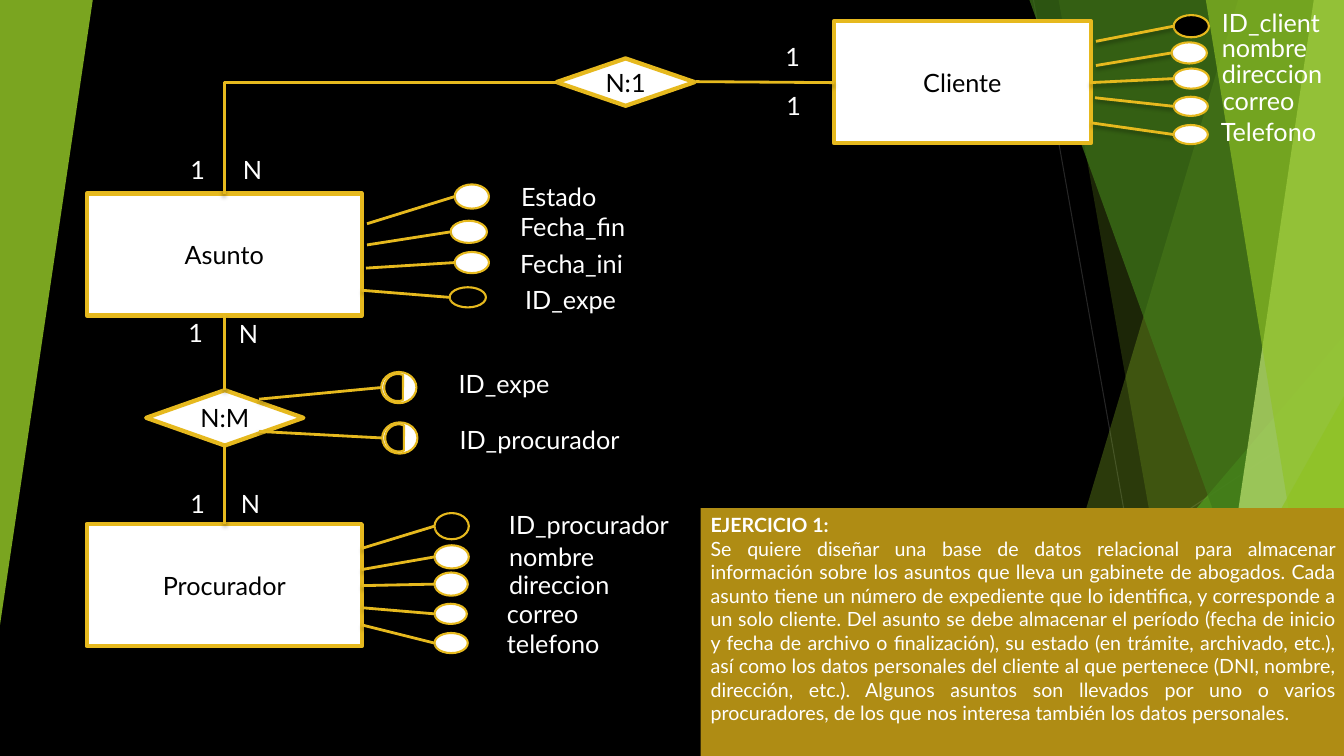
from lxml.etree import SubElement
from pptx import Presentation
from pptx.dml.color import RGBColor
from pptx.enum.shapes import MSO_CONNECTOR as LINK, MSO_SHAPE as KIND
from pptx.enum.text import MSO_ANCHOR as ANCHOR, PP_ALIGN as ALIGN
from pptx.oxml.ns import qn
from pptx.util import Inches, Pt

WIDTH, HEIGHT = 13.33, 7.5
BLACK, WHITE = RGBColor(0, 0, 0), RGBColor(255, 255, 255)
GOLD, OCHRE = RGBColor(0xE6, 0xB9, 0x1E), RGBColor(0xAF, 0x8C, 0x14)
GRAY = RGBColor(0x26, 0x26, 0x26)
LIME, GREEN = RGBColor(0x90, 0xC2, 0x26), RGBColor(0x54, 0xA0, 0x21)
FOREST, PALE = RGBColor(0x3F, 0x78, 0x19), RGBColor(0xC0, 0xE4, 0x74)

FACET_LINES = [((10.25, 0), (11.58, HEIGHT)), ((WIDTH, 4.03), (8.12, HEIGHT))]
FACETS = [
    ("band", 12.28, 10.04, LIME, 30),
    ("band", 10.5, 11.83, LIME, 20),
    ("corner", 9.77, 3.33, GREEN, 72),
    ("band", 10.21, 12.91, FOREST, 70),
    ("band", 13.03, 11.92, PALE, 70),
    ("band", 11.96, 13.18, LIME, 65),
    ("corner", 11.34, 3.93, LIME, 80),
]
LEFT_FACET = (0, 0, 0.92, 6.2)

ENTITIES = [
    ("Asunto", (0.86, 1.92, 2.73, 1.21)),
    ("Procurador", (0.86, 5.2, 2.73, 1.21)),
    ("Cliente", (8.27, 0.21, 2.55, 1.21)),
]
RELATIONS = [("N:1", (5.52, 0.58, 1.37, 0.47)), ("N:M", (1.45, 3.87, 1.56, 0.55))]
LINKS = [((6.9, 0.81), (8.27, 0.82)), ((2.23, 3.13), (2.23, 3.87)), ((2.23, 4.41), (2.23, 5.2))]
ELBOW_BEGIN, ELBOW_END = (4.43, 3.02), (3.32, -0.28)

# (name, line start, oval box, label corner, oval style)
ATTRIBUTES = [
    ("ID_client", (10.87, 0.41), (11.64, 0.15, 0.35, 0.22), (12.02, 0.02), "key"),
    ("nombre", (10.87, 0.65), (11.62, 0.42, 0.35, 0.21), (12.02, 0.27), "plain"),
    ("direccion", (10.81, 0.82), (11.64, 0.68, 0.35, 0.2), (12.02, 0.53), "plain"),
    ("correo", (10.86, 0.97), (11.64, 0.96, 0.34, 0.19), (12.03, 0.8), "plain"),
    ("Telefono", (10.83, 1.22), (11.64, 1.24, 0.34, 0.19), (12.01, 1.11), "plain"),
    ("Estado", (3.64, 2.22), (4.51, 1.83, 0.34, 0.24), (5.07, 1.75), "plain"),
    ("Fecha_fin", (3.64, 2.43), (4.47, 2.19, 0.36, 0.22), (5.06, 2.05), "plain"),
    ("Fecha_ini", (3.63, 2.66), (4.51, 2.5, 0.34, 0.21), (5.06, 2.41), "plain"),
    ("ID_expe", (3.59, 2.88), (4.46, 2.85, 0.36, 0.2), (5.11, 2.77), "key"),
    ("ID_expe", (2.57, 3.96), (3.78, 3.69, 0.35, 0.31), (4.45, 3.6), "half"),
    ("ID_procurador", (2.57, 4.28), (3.79, 4.19, 0.35, 0.31), (4.46, 4.16), "half"),
    ("ID_procurador", (3.59, 5.44), (4.31, 5.09, 0.34, 0.26), (4.95, 5), "key"),
    ("nombre", (3.59, 5.65), (4.31, 5.41, 0.34, 0.23), (4.95, 5.32), "plain"),
    ("direccion", (3.59, 5.81), (4.31, 5.68, 0.33, 0.23), (4.95, 5.6), "plain"),
    ("correo", (3.6, 6.03), (4.31, 5.99, 0.32, 0.2), (4.93, 5.89), "plain"),
    ("telefono", (3.59, 6.2), (4.31, 6.28, 0.33, 0.2), (4.93, 6.18), "plain"),
]
CARDINALITIES = [
    ("1", 7.69, 0.36), ("1", 7.7, 0.85), ("1", 1.79, 1.48), ("N", 2.31, 1.48),
    ("1", 1.77, 3.1), ("N", 2.27, 3.11), ("1", 1.79, 4.8), ("N", 2.29, 4.8),
]
NOTE_BOX = (6.95, 5.04, 6.4, 2.46)
NOTE_TITLE = "EJERCICIO 1:"
NOTE_TEXT = (
    "Se quiere diseñar una base de datos relacional para almacenar información sobre los asuntos "
    "que lleva un gabinete de abogados. Cada asunto tiene un número de expediente que lo identifica, "
    "y corresponde a un solo cliente. Del asunto se debe almacenar el período (fecha de inicio y fecha "
    "de archivo o finalización), su estado (en trámite, archivado, etc.), así como los datos personales "
    "del cliente al que pertenece (DNI, nombre, dirección, etc.). Algunos asuntos son llevados por uno o "
    "varios procuradores, de los que nos interesa también los datos personales."
)


def inches(values):
    return [Inches(value) for value in values]


def paint(shape, fill, line=None, points=0, opacity=100):
    shape.shadow.inherit = False
    shape.fill.solid()
    shape.fill.fore_color.rgb = fill
    if opacity < 100:
        color = shape.fill._xPr.find(".//" + qn("a:srgbClr"))
        SubElement(color, qn("a:alpha"), val=str(opacity * 1000))
    if line is None:
        shape.line.fill.background()
    else:
        shape.line.color.rgb = line
        shape.line.width = Pt(points)
    return shape


def add_preset(kind, box, *style, **options):
    return paint(slide.shapes.add_shape(kind, *inches(box)), *style, **options)


def add_corner(box, color, opacity):
    shape = add_preset(KIND.ISOSCELES_TRIANGLE, box, color, opacity=opacity)
    shape.adjustments[0] = 1
    return shape


def add_band(top_x, bottom_x, color, opacity):
    builder = slide.shapes.build_freeform(Inches(top_x), 0)
    corners = [(WIDTH, 0), (WIDTH, HEIGHT), (bottom_x, HEIGHT)]
    builder.add_line_segments([inches(corner) for corner in corners], close=True)
    paint(builder.convert_to_shape(), color, opacity=opacity)


def add_line(begin, end, color=GOLD, points=2, kind=LINK.STRAIGHT, shadow=True):
    line = slide.shapes.add_connector(kind, *inches(begin + end))
    line.line.color.rgb = color
    line.line.width = Pt(points)
    effects = SubElement(line._element.spPr, qn("a:effectLst"))
    if shadow:
        outer = SubElement(effects, qn("a:outerShdw"), blurRad=str(Pt(3)), dist=str(Pt(2)),
                           dir="5400000", rotWithShape="0")
        black = SubElement(outer, qn("a:srgbClr"), val=str(BLACK))
        SubElement(black, qn("a:alpha"), val="35000")
    return line


def write(shape, texts, color, size=18, align=ALIGN.LEFT, anchor=ANCHOR.TOP, bold_first=False):
    frame = shape.text_frame
    frame.word_wrap = True
    frame.vertical_anchor = anchor
    for index, text in enumerate(texts):
        paragraph = frame.paragraphs[0] if index == 0 else frame.add_paragraph()
        paragraph.alignment = align
        run = paragraph.add_run()
        run.text = text
        font = {"name": "Lato", "size": Pt(size), "bold": bold_first and index == 0}
        for key, value in font.items():
            setattr(run.font, key, value)
        run.font.color.rgb = color


def add_label(text, left, top, width):
    write(slide.shapes.add_textbox(*inches((left, top, width, 0.4))), [text], WHITE)


presentation = Presentation()
presentation.slide_width, presentation.slide_height = inches((WIDTH, HEIGHT))
slide = presentation.slides.add_slide(presentation.slide_layouts[6])
slide.background.fill.solid()
slide.background.fill.fore_color.rgb = BLACK

for begin, end in FACET_LINES:
    add_line(begin, end, GRAY, 0.75, shadow=False)
for form, first, second, color, opacity in FACETS:
    if form == "band":
        add_band(first, second, color, opacity)
    else:
        add_corner((first, second, WIDTH - first, HEIGHT - second), color, opacity)
add_corner(LEFT_FACET, LIME, 85).rotation = 180

for kind, nodes in ((KIND.RECTANGLE, ENTITIES), (KIND.FLOWCHART_DECISION, RELATIONS)):
    for name, box in nodes:
        node = add_preset(kind, box, WHITE, GOLD, 3)
        write(node, [name], BLACK, align=ALIGN.CENTER, anchor=ANCHOR.MIDDLE)

elbow = add_line(ELBOW_BEGIN, ELBOW_END, kind=LINK.ELBOW)
elbow._element.spPr.find(qn("a:prstGeom")).set("prst", "bentConnector2")
elbow._element.spPr.find(qn("a:xfrm")).set("rot", "5400000")
for begin, end in LINKS:
    add_line(begin, end)

for name, start, oval, corner, style in ATTRIBUTES:
    left, top, width, height = oval
    add_preset(KIND.OVAL, oval, BLACK if style == "key" else WHITE, GOLD, 1.5)
    add_line(start, (left, top + height / 2))
    if style == "half":
        half = add_preset(KIND.CHORD, (left + 0.03, top + 0.02, 0.27, 0.27), BLACK, GOLD, 1.5)
        half.rotation = 22.9
    add_label(name, *corner, 1.84 if len(name) > 10 else 1.32)
for text, left, top in CARDINALITIES:
    add_label(text, left, top, 0.52)

note = add_preset(KIND.RECTANGLE, NOTE_BOX, OCHRE)
write(note, [NOTE_TITLE, NOTE_TEXT], WHITE, size=14, align=ALIGN.JUSTIFY, bold_first=True)

presentation.save("out.pptx")
